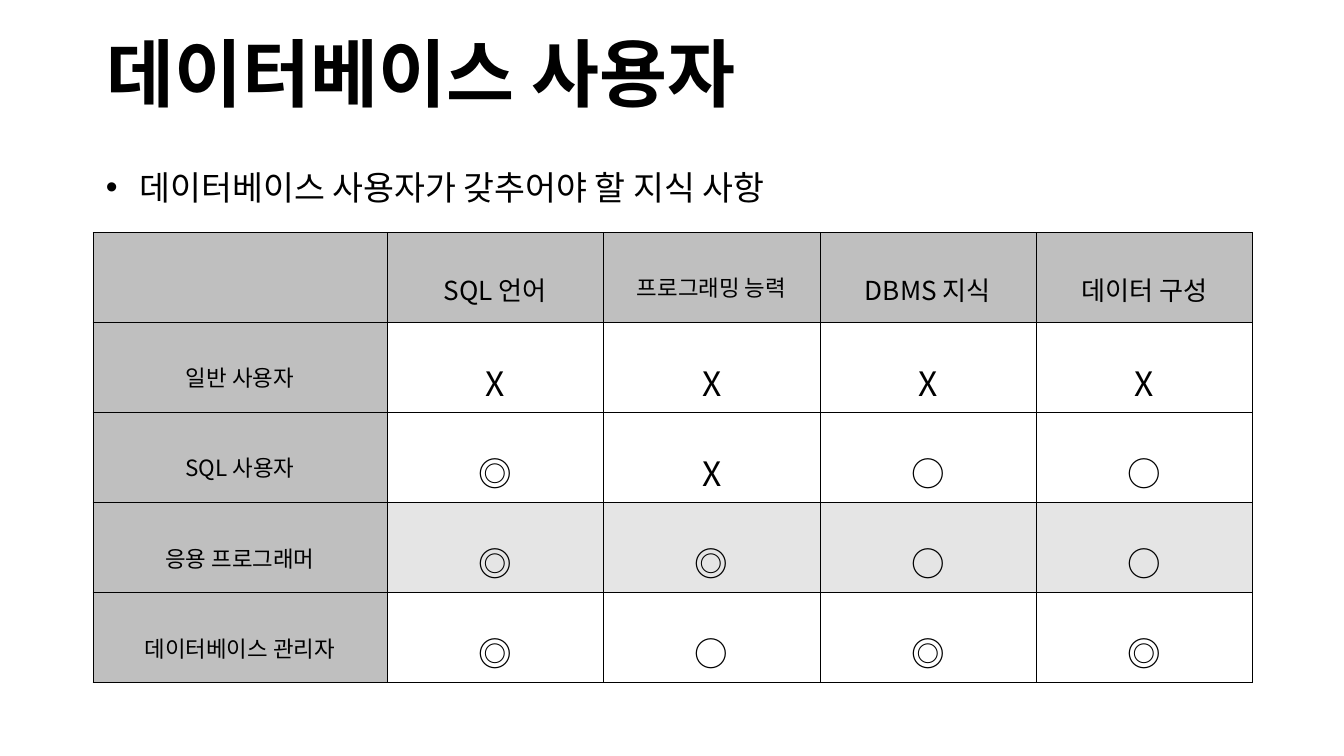
import pptx
import pptx.dml.color
import pptx.enum.text
import pptx.oxml
import pptx.oxml.ns
import pptx.util
from pptx.util import Inches, Pt

COLORS = {"text": "000000", "header": "BFBFBF", "highlight": "E5E5E5", "border": "000000"}
FONT = "Noto Sans CJK KR"
ALIGN = pptx.enum.text.PP_ALIGN
MIDDLE = pptx.enum.text.MSO_ANCHOR.MIDDLE
LEFT, WIDTH = 0.69, 8.62
ROW_HEIGHT = 0.67
COLUMN_WIDTHS = [2.19] + [1.61] * 4
HIGHLIGHT_ROW = 3
ROWS = [
    ["", "SQL 언어", "프로그래밍 능력", "DBMS 지식", "데이터 구성"],
    ["일반 사용자", "X", "X", "X", "X"],
    ["SQL 사용자", "◎", "X", "○", "○"],
    ["응용 프로그래머", "◎", "◎", "○", "○"],
    ["데이터베이스 관리자", "◎", "○", "◎", "◎"],
]


def add_xml(parent, tag, content="", attributes=""):
    namespace = pptx.oxml.ns.nsdecls("a")
    parent.append(pptx.oxml.parse_xml(f"<a:{tag} {namespace} {attributes}>{content}</a:{tag}>"))


def set_attributes(target, values):
    for name, value in values.items():
        setattr(target, name, value)


def write_text(frame, text, size, bold=False, **paragraph_format):
    """Write one unkerned run in the Latin and East Asian font."""
    para = frame.paragraphs[0]
    set_attributes(para, paragraph_format)
    span = para.add_run()
    span.text = text
    set_attributes(span.font, {"name": FONT, "size": Pt(size), "bold": bold})
    span.font.color.rgb = pptx.dml.color.RGBColor.from_string(COLORS["text"])
    span.font._element.set("kern", "0")
    add_xml(span.font._element, "ea", attributes=f'typeface="{FONT}"')


def place_title(page, text):
    title = page.shapes.title
    set_attributes(title, {"left": Inches(LEFT), "top": Inches(0.3),
                           "width": Inches(WIDTH), "height": Inches(0.55)})
    set_attributes(title.text_frame, {"word_wrap": True, "vertical_anchor": MIDDLE,
                                      "auto_size": pptx.enum.text.MSO_AUTO_SIZE.NONE})
    write_text(title.text_frame, text, 39.6, bold=True,
               alignment=ALIGN.LEFT, line_spacing=0.9)


def add_bullet(page, text):
    box = page.shapes.add_textbox(Inches(LEFT), Inches(1.04), Inches(WIDTH), Inches(4.03))
    box.text_frame.word_wrap = True
    properties = box.text_frame.paragraphs[0]._p.get_or_add_pPr()
    properties.set("marL", str(Inches(0.25)))
    properties.set("indent", str(-Inches(0.25)))
    add_xml(properties, "buFont", attributes='typeface="Arial"')
    add_xml(properties, "buChar", attributes='char="•"')
    write_text(box.text_frame, text, 18, line_spacing=1.5)


def add_borders(cell):
    line = f'<a:solidFill><a:srgbClr val="{COLORS["border"]}"/></a:solidFill>'
    for side in ("lnL", "lnR", "lnT", "lnB"):
        add_xml(cell._tc.get_or_add_tcPr(), side, line, f'w="{Pt(0.28)}"')


def fill_cell(cell, color):
    if color is None:
        cell.fill.background()
    else:
        cell.fill.solid()
        cell.fill.fore_color.rgb = pptx.dml.color.RGBColor.from_string(color)


def cell_look(row, column):
    """Return the text size and fill colour of a cell."""
    if row == 0:
        return (12 if column == 2 else 14), COLORS["header"]
    if column == 0:
        return 12, COLORS["header"]
    return 18, COLORS["highlight"] if row == HIGHLIGHT_ROW else None


def add_knowledge_table(page):
    table = page.shapes.add_table(len(ROWS), len(COLUMN_WIDTHS), Inches(LEFT), Inches(1.73),
                                  Inches(WIDTH), Inches(ROW_HEIGHT * len(ROWS))).table
    set_attributes(table, {"first_row": False, "horz_banding": False})
    for column, width in zip(table.columns, COLUMN_WIDTHS):
        column.width = Inches(width)
    for row, texts in enumerate(ROWS):
        table.rows[row].height = Inches(ROW_HEIGHT)
        for column, text in enumerate(texts):
            cell = table.cell(row, column)
            size, color = cell_look(row, column)
            set_attributes(cell, {"vertical_anchor": MIDDLE,
                                  "margin_left": Inches(0.05), "margin_right": Inches(0.05),
                                  "margin_top": Inches(0.01), "margin_bottom": Inches(0.01)})
            add_borders(cell)
            fill_cell(cell, color)
            if text:
                write_text(cell.text_frame, text, size,
                           alignment=ALIGN.CENTER, line_spacing=1.6)


def main():
    deck = pptx.Presentation()
    # The page has a 16:9 format.
    set_attributes(deck, {"slide_width": Inches(10), "slide_height": Inches(10 * 9 / 16)})
    page = deck.slides.add_slide(deck.slide_layouts[5])
    place_title(page, "데이터베이스 사용자")
    add_bullet(page, "데이터베이스 사용자가 갖추어야 할 지식 사항")
    add_knowledge_table(page)
    deck.save("out.pptx")


if __name__ == "__main__":
    main()
